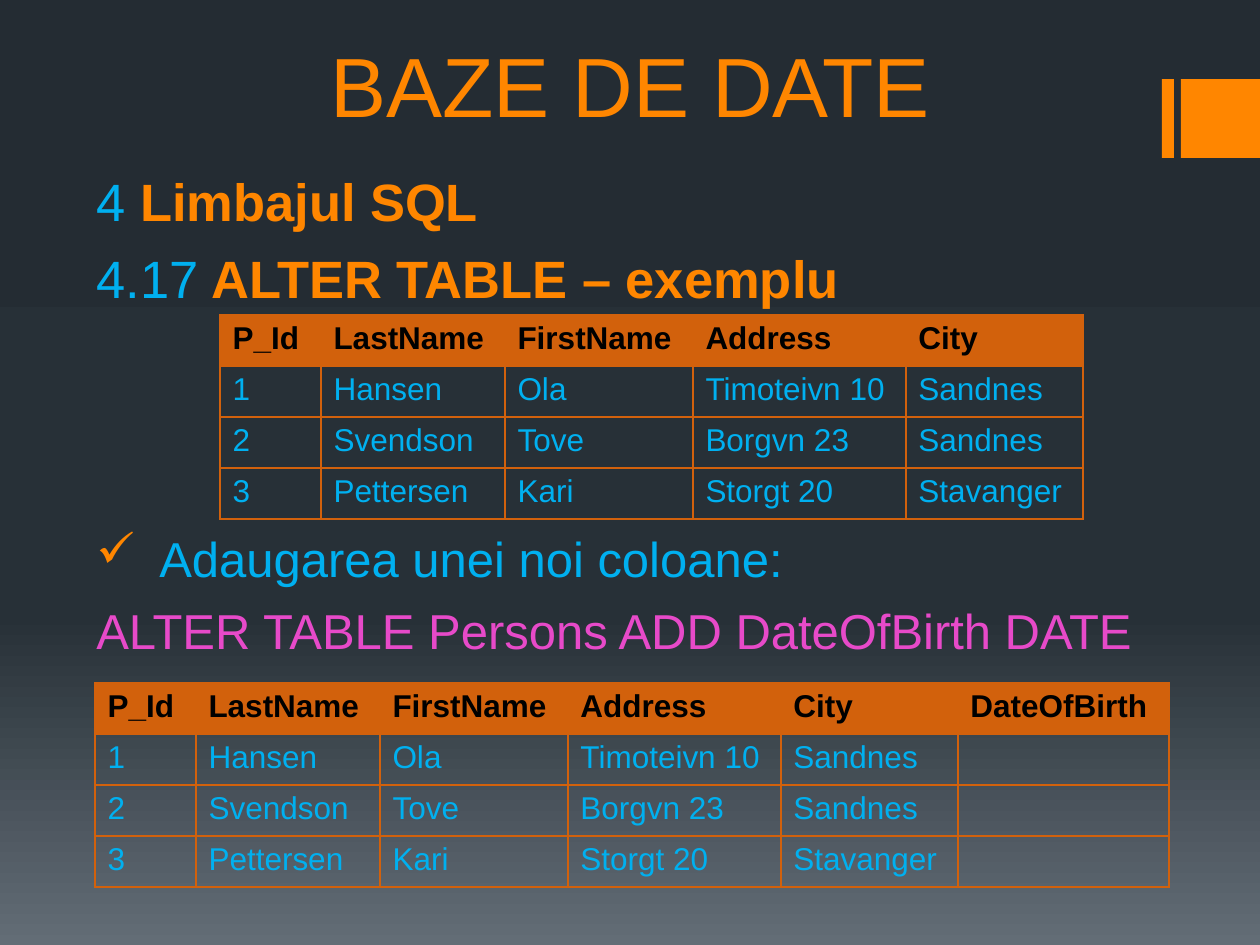
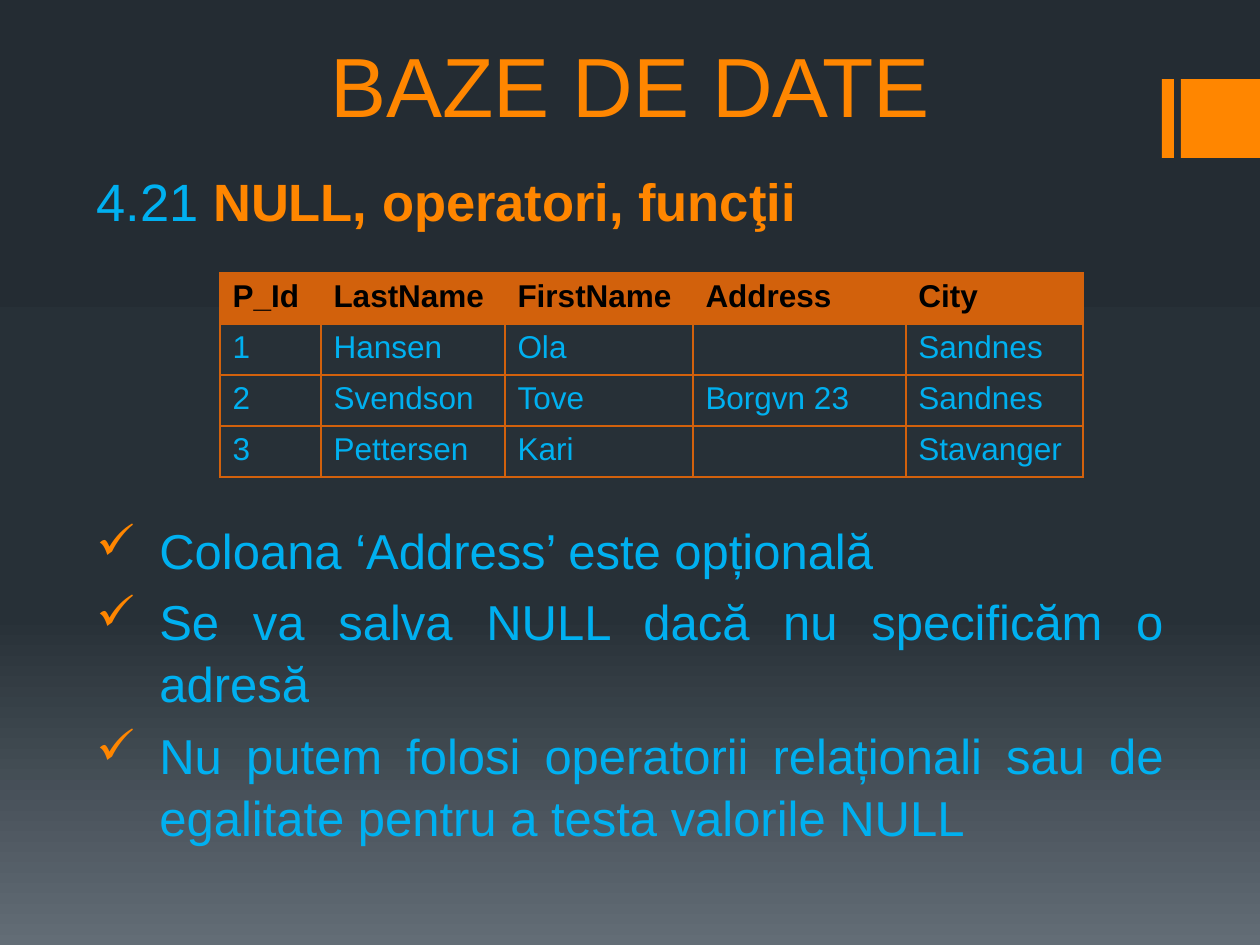
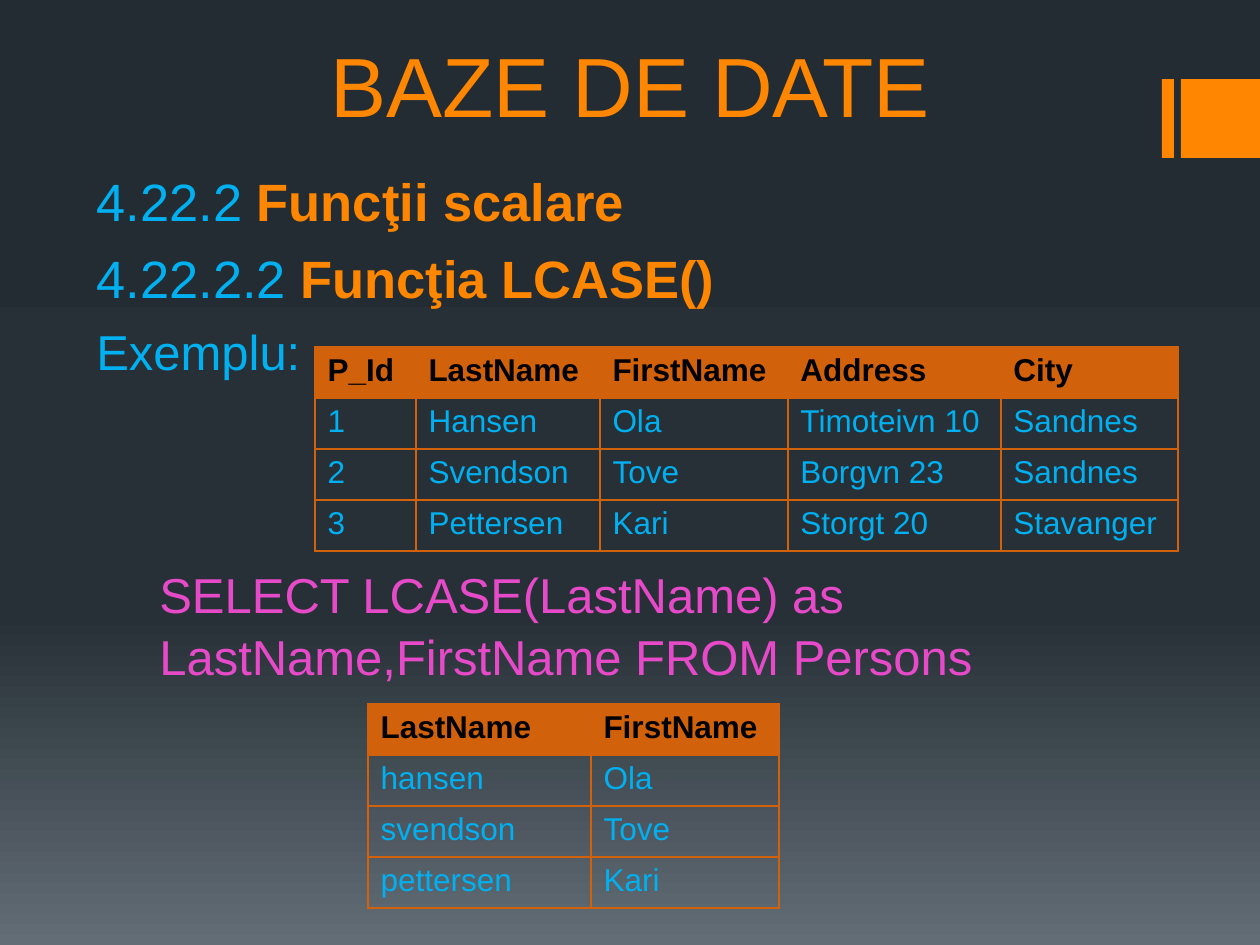
import copy
from pptx import Presentation, util as u
from pptx.dml.color import RGBColor
from pptx.enum import shapes, text
from pptx.oxml import parse_xml
from pptx.oxml.ns import nsdecls, qn

PX = 914400 // 126
FONT = "Arial"
ORANGE = RGBColor(0xFF, 0x86, 0x00)
RUST = RGBColor(0xD2, 0x61, 0x0C)
BLUE = RGBColor(0x00, 0xB0, 0xF0)
PINK = RGBColor(0xE7, 0x4A, 0xC9)
BLACK = RGBColor(0, 0, 0)
BACKGROUND = [(0, RGBColor(0x24, 0x2C, 0x33)), (0.65, RGBColor(0x27, 0x30, 0x37)),
              (1, RGBColor(0x63, 0x6D, 0x76))]

# Table data
ROW_H = 51
WIDTHS = {"P_Id": 101, "LastName": 184, "FirstName": 188, "Address": 213,
          "City": 177, "DateOfBirth": 211}
HEADER = ["P_Id", "LastName", "FirstName", "Address", "City"]
PEOPLE = [["1", "Hansen", "Ola", "Timoteivn 10", "Sandnes"],
          ["2", "Svendson", "Tove", "Borgvn 23", "Sandnes"],
          ["3", "Pettersen", "Kari", "Storgt 20", "Stavanger"]]
PERSONS = [HEADER] + PEOPLE
WITH_BIRTH = [HEADER + ["DateOfBirth"]] + [row + [""] for row in PEOPLE]
OPTIONAL_ADDRESS = [HEADER] + [
    [value if row[0] == "2" or i != 3 else "" for i, value in enumerate(row)] for row in PEOPLE]
LOWER_NAMES = [["LastName", "FirstName"]] + [[row[1].lower(), row[2]] for row in PEOPLE]

# Each slide: headings (number, title), body lines (kind, text, gap before in
# pixels), tables (left, top, rows, width of the LastName column)
SLIDES = [
    ([("4 ", "Limbajul SQL"), ("4.17", " ALTER TABLE – exemplu")],
     [("bullet", "Adaugarea unei noi coloane:", 217),
      ("code", "ALTER TABLE Persons ADD DateOfBirth DATE", 10)],
     [(220, 315, PERSONS, 184), (95, 683, WITH_BIRTH, 184)]),
    ([("4.21", " NULL, operatori, funcţii")],
     [("bullet", "Coloana ‘Address’ este opțională", 285),
      ("bullet", "Se va salva NULL dacă nu specificăm o adresă", 10),
      ("bullet", "Nu putem folosi operatorii relaționali sau de egalitate "
                 "pentru a testa valorile NULL", 10)],
     [(220, 273, OPTIONAL_ADDRESS, 184)]),
    ([("4.22.2 ", "Funcţii scalare"), ("4.22.2.2 ", "Funcţia LCASE()")],
     [("plain", "Exemplu:", 10),
      ("indented", "SELECT LCASE(LastName) as LastName,FirstName FROM Persons", 181)],
     [(315, 347, PERSONS, 184), (368, 704, LOWER_NAMES, 223)]),
]


def add_text(s, x, y, w, h):
    tf = s.shapes.add_textbox(x * PX, y * PX, w * PX, h * PX).text_frame
    tf.word_wrap = True
    return tf


def add_grid(s, x, y, rows, last_name_w):
    widths = [last_name_w if name == "LastName" else WIDTHS[name] for name in rows[0]]
    tbl = s.shapes.add_table(len(rows), len(widths), x * PX, y * PX,
                             sum(widths) * PX, len(rows) * ROW_H * PX).table
    tbl.horz_banding = False
    for column, w in zip(tbl.columns, widths):
        column.width = w * PX
    for r, row in enumerate(rows):
        tbl.rows[r].height = ROW_H * PX
        for c, value in enumerate(row):
            cell = tbl.cell(r, c)
            cell.text = value
            font = cell.text_frame.paragraphs[0].font
            font.name, font.size, font.bold = FONT, u.Pt(18), r == 0
            font.color.rgb = BLACK if r == 0 else BLUE
            for side in "LRTB":
                cell._tc.get_or_add_tcPr().append(parse_xml(
                    f'<a:ln{side} {nsdecls("a")} w="12700"><a:solidFill>'
                    f'<a:srgbClr val="{RUST}"/></a:solidFill></a:ln{side}>'))
            if r == 0:
                cell.fill.solid()
                cell.fill.fore_color.rgb = RUST
            else:
                cell.fill.background()


prs = Presentation()
prs.slide_width, prs.slide_height = 1260 * PX, 945 * PX

# Shared background gradient, top to bottom
fill = prs.slide_master.background.fill
fill.gradient()
fill.gradient_angle = 270
stops = prs.slide_master.element.find(".//" + qn("a:gsLst"))
stops.append(copy.deepcopy(stops[-1]))
for stop, (position, color) in zip(fill.gradient_stops, BACKGROUND):
    stop.position = position
    stop.color.rgb = color

for headings, lines, tables in SLIDES:
    s = prs.slides.add_slide(prs.slide_layouts[6])

    # Orange bar and block at the right edge
    for x, w in [(1162, 12), (1181, 79)]:
        sp = s.shapes.add_shape(shapes.MSO_SHAPE.RECTANGLE, x * PX, 79 * PX, w * PX, 79 * PX)
        sp.shadow.inherit = False
        sp.fill.solid()
        sp.fill.fore_color.rgb = ORANGE
        sp.line.fill.background()

    # Title
    tf = add_text(s, 95, 0, 1071, 137)
    tf.vertical_anchor = text.MSO_ANCHOR.BOTTOM
    tf.margin_bottom = 3 * PX
    p = tf.paragraphs[0]
    p.text = "BAZE DE DATE"
    p.alignment = text.PP_ALIGN.CENTER
    p.font.name, p.font.size = FONT, u.Pt(48)
    p.font.color.rgb = ORANGE

    # Numbered headings
    tf = add_text(s, 84, 158, 1092, 703)
    tf.margin_top = 8 * PX
    for i, heading in enumerate(headings):
        p = tf.add_paragraph() if i else tf.paragraphs[0]
        p.line_spacing = 1.05
        p.space_before = u.Pt(6 if i else 0)
        p.font.name, p.font.size = FONT, u.Pt(30)
        for part, color, bold in zip(heading, (BLUE, ORANGE), (False, True)):
            r = p.add_run()
            r.text = part
            r.font.color.rgb, r.font.bold = color, bold

    # Body lines
    for kind, line, gap in lines:
        p = tf.add_paragraph()
        p.text = line
        p.line_spacing = 1.05
        p.space_before = gap * PX
        p.font.name, p.font.size = FONT, u.Pt(28)
        p.font.color.rgb = PINK if kind in ("code", "indented") else BLUE
        pPr = p._p.get_or_add_pPr()
        if kind in ("bullet", "indented"):
            pPr.set("marL", str(63 * PX))
        if kind == "bullet":
            p.alignment = text.PP_ALIGN.JUSTIFY
            pPr.set("indent", str(-63 * PX))
            for xml in (f'<a:buClr {nsdecls("a")}><a:srgbClr val="{ORANGE}"/></a:buClr>',
                        f'<a:buChar {nsdecls("a")} char="✓"/>'):
                pPr.insert_element_before(parse_xml(xml), "a:tabLst", "a:defRPr", "a:extLst")

    for table in tables:
        add_grid(s, *table)

prs.save("out.pptx")
